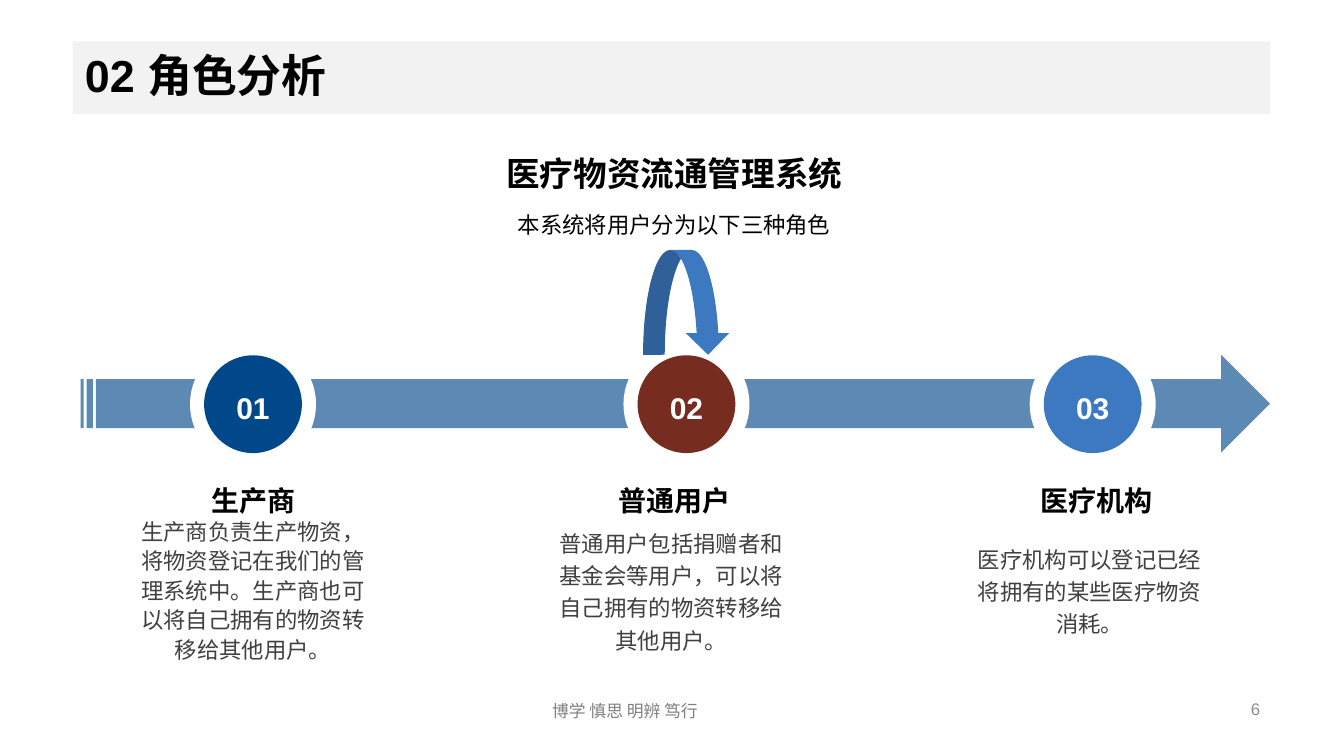
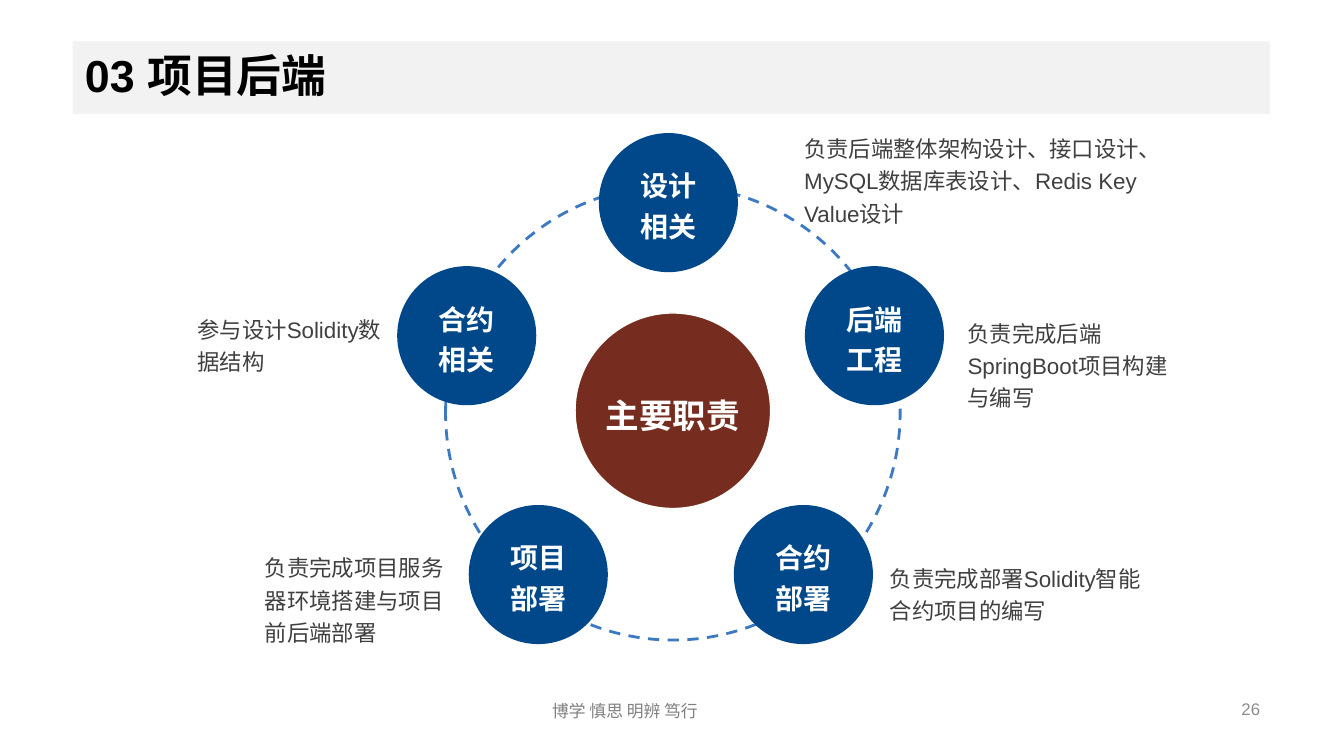
from lxml import etree
from pptx import Presentation
from pptx import util as u
from pptx.dml.color import RGBColor
from pptx.enum import dml, shapes, text
from pptx.oxml.ns import qn

# Square grid: 133.3 columns by 75 rows
CELL = u.Inches(0.1)
COLUMNS, ROWS = 133.33, 75

FONT = "Arial"
NAVY, RUST, BLUE = "00488A", "762D1F", "3C79C1"
WHITE, BLACK, BODY = "FFFFFF", "000000", "404040"
BAND, FOOTER, PAGE = "F2F2F2", "808080", "8C8C8C"

LEFT, CENTER, RIGHT = text.PP_ALIGN.LEFT, text.PP_ALIGN.CENTER, text.PP_ALIGN.RIGHT
JUSTIFY = text.PP_ALIGN.JUSTIFY
TOP, MIDDLE = text.MSO_ANCHOR.TOP, text.MSO_ANCHOR.MIDDLE
PRESET = shapes.MSO_SHAPE


def color(value):
    return RGBColor.from_string(value)


def grid(*cells):
    return [u.Emu(round(cell * CELL)) for cell in cells]


def write(shape, words, size, ink, bold=False, align=LEFT, anchor=MIDDLE,
          spacing=1.2, wrap=True):
    """Put one formatted paragraph into a shape."""
    frame = shape.text_frame
    frame.word_wrap = wrap
    frame.auto_size = text.MSO_AUTO_SIZE.NONE
    frame.vertical_anchor = anchor
    paragraph = frame.paragraphs[0]
    paragraph.text = words
    paragraph.alignment = align
    paragraph.line_spacing = spacing
    font = paragraph.font
    font.name, font.size, font.bold = FONT, u.Pt(size), bold
    font.color.rgb = color(ink)


def add_text(slide, box, words, size, ink, **style):
    write(slide.shapes.add_textbox(*grid(*box)), words, size, ink, **style)


def add_preset(slide, preset, box, fill=None):
    shape = slide.shapes.add_shape(preset, *grid(*box))
    shape.shadow.inherit = False
    shape.line.fill.background()
    if fill:
        shape.fill.solid()
        shape.fill.fore_color.rgb = color(fill)
    else:
        shape.fill.background()
    return shape


def add_disc(slide, x, y, diameter, fill=None):
    """Draw a circle around the centre (x, y)."""
    box = (x - diameter / 2, y - diameter / 2, diameter, diameter)
    return add_preset(slide, PRESET.OVAL, box, fill)


def label_disc(disc, words, size, inset=0, wrap=True):
    frame = disc.text_frame
    frame.margin_left, frame.margin_right, frame.margin_top, frame.margin_bottom = grid(
        inset, inset, 0, 0)
    write(disc, words, size, WHITE, bold=True, align=CENTER, wrap=wrap)


def outline(shape, ink, width, dash=None):
    shape.line.color.rgb = color(ink)
    shape.line.width = u.Pt(width)
    if dash:
        shape.line.dash_style = dash


def set_opacity(shape, percent):
    fill = shape.fill._xPr.find(qn("a:solidFill"))
    etree.SubElement(fill[0], qn("a:alpha"), val=str(percent * 1000))


def add_slide(presentation, heading, page):
    """Start a slide with its title band, motto and page number."""
    slide = presentation.slides.add_slide(presentation.slide_layouts[5])
    title = slide.shapes.title
    title.left, title.top, title.width, title.height = grid(7.2, 4.1, 118.8, 7.2)
    title.fill.solid()
    title.fill.fore_color.rgb = color(BAND)
    write(title, heading, 32, BLACK, bold=True, spacing=0.9)
    title.text_frame.margin_left = grid(1.23)[0]
    add_text(slide, (53.8, 69, 25.7, 3), "博学 慎思 明辨 笃行", 12, FOOTER,
             align=JUSTIFY, spacing=1)
    add_text(slide, (96, 68.3, 30, 4), page, 12, PAGE, align=RIGHT, spacing=1)
    return slide


def build_roles(presentation):
    slide = add_slide(presentation, "02 角色分析", "6")

    # Heading and timeline arrow
    add_text(slide, (7.6, 13.6, 118.6, 6.4), "医疗物资流通管理系统", 24, BLACK,
             bold=True, align=CENTER)
    add_text(slide, (7.6, 19.9, 118.6, 4), "本系统将用户分为以下三种角色", 16, BLACK,
             align=CENTER, anchor=TOP)
    arrow = add_preset(slide, PRESET.STRIPED_RIGHT_ARROW, (8, 35.2, 118, 9.7), NAVY)
    set_opacity(arrow, 64)

    # Disc centre, fill, name, line spacing and description of each role
    roles = [
        (25.1, NAVY, "生产商", 1.1,
         "生产商负责生产物资，将物资登记在我们的管理系统中。生产商也可以将自己拥有的物资转移给其他用户。"),
        (68.1, RUST, "普通用户", 1.2,
         "普通用户包括捐赠者和基金会等用户，可以将自己拥有的物资转移给其他用户。"),
        (108.4, BLUE, "医疗机构", 1.2,
         "医疗机构可以登记已经将拥有的某些医疗物资消耗。"),
    ]
    for index, (x, fill, name, spacing, description) in enumerate(roles):
        add_disc(slide, x, 40.1, 12.5, WHITE)
        label_disc(add_disc(slide, x, 40.1, 9.7, fill), f"{index + 1:02}", 21.4)
        add_text(slide, (7.9 + 41.8 * index, 45.6, 34.5, 7.4), name, 20, BLACK,
                 bold=True, align=CENTER)
        add_text(slide, (12.5 + 41.5 * index, 50.3, 25.2, 16.3), description, 16, BODY,
                 align=CENTER, spacing=spacing)

    add_preset(slide, PRESET.CURVED_DOWN_ARROW, (63.8, 24.8, 8.6, 10.4), BLUE)


def build_duties(presentation):
    slide = add_slide(presentation, "03 项目后端", "26")

    # Dashed ring and hub
    ring = add_disc(slide, 66.75, 40.95, 45.1)
    outline(ring, BLUE, 2, dml.MSO_LINE.DASH)
    hub = add_disc(slide, 66.75, 40.75, 19.4, RUST)
    outline(hub, WHITE, 1)
    label_disc(hub, "主要职责", 24, wrap=False)

    # Disc centre and name, then box and wording of each duty
    duties = [
        (66.3, 20.1, "设计相关", (78.8, 12.4, 36, 10.4),
         "负责后端整体架构设计、接口设计、MySQL数据库表设计、Redis Key Value设计"),
        (86.75, 33.3, "后端工程", (95, 30.7, 23.2, 10.4),
         "负责完成后端SpringBoot项目构建与编写"),
        (79.7, 57, "合约部署", (87.3, 55, 29, 7.2),
         "负责完成部署Solidity智能合约项目的编写"),
        (53.4, 57, "项目部署", (25.3, 54, 20.1, 10.4),
         "负责完成项目服务器环境搭建与项目前后端部署"),
        (46.3, 33.3, "合约相关", (18.6, 30.3, 20.8, 7.2),
         "参与设计Solidity数据结构"),
    ]
    for x, y, name, box, description in duties:
        label_disc(add_disc(slide, x, y, 13.8, NAVY), name, 20, inset=1.2)
        add_text(slide, box, description, 16, BODY, anchor=TOP)


def main():
    presentation = Presentation()
    presentation.slide_width, presentation.slide_height = grid(COLUMNS, ROWS)
    build_roles(presentation)
    build_duties(presentation)
    presentation.save("out.pptx")


if __name__ == "__main__":
    main()
